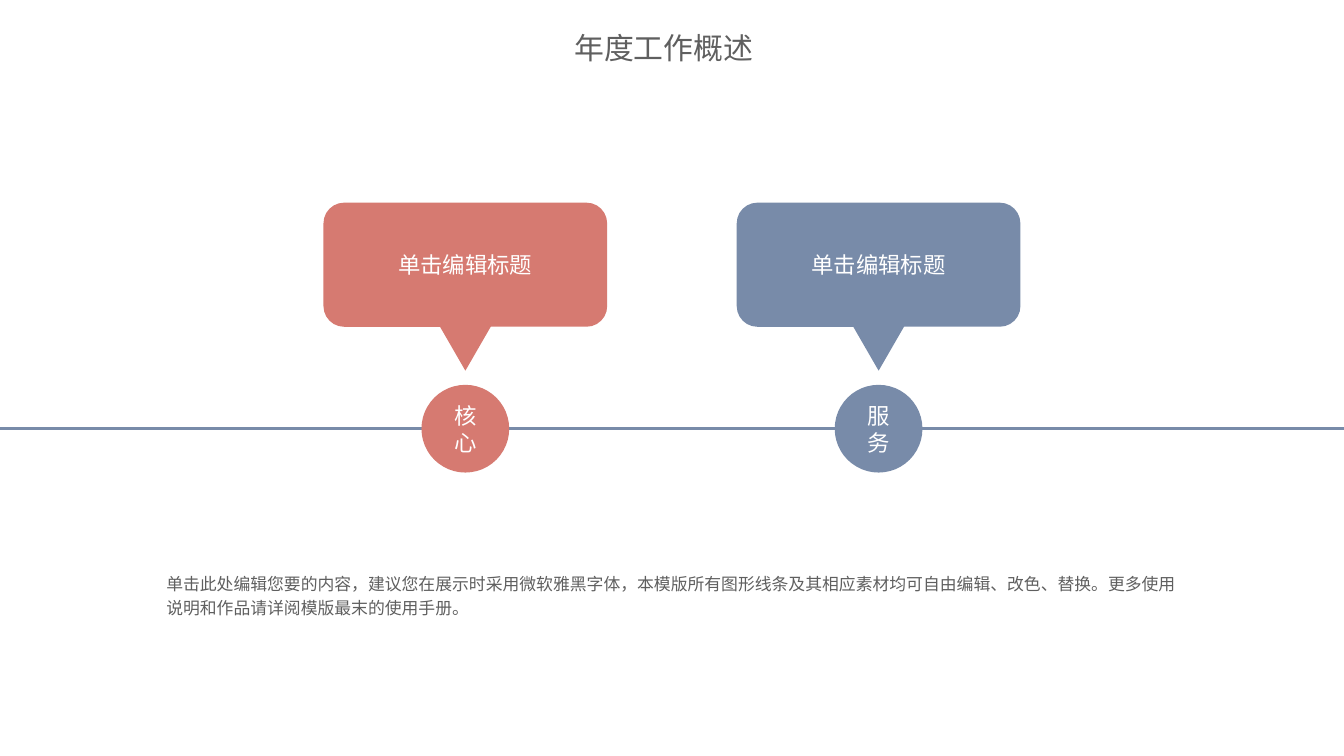
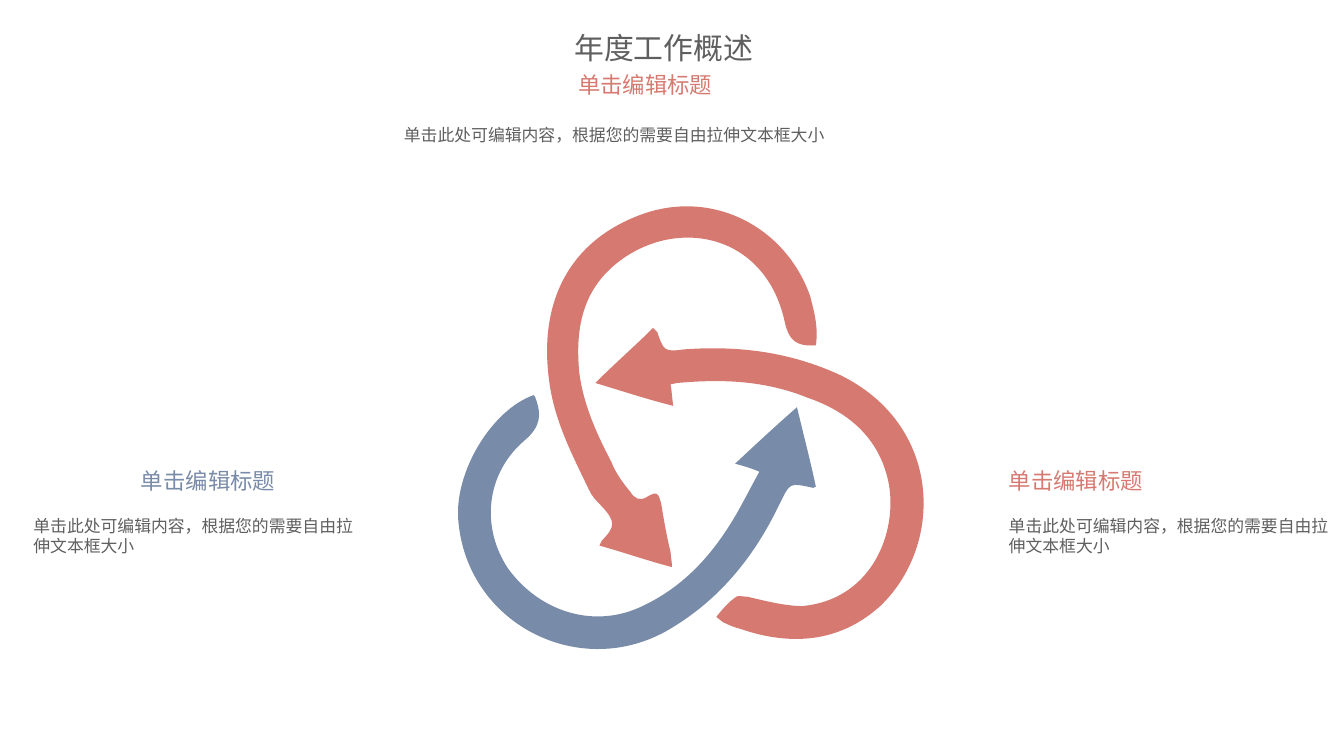
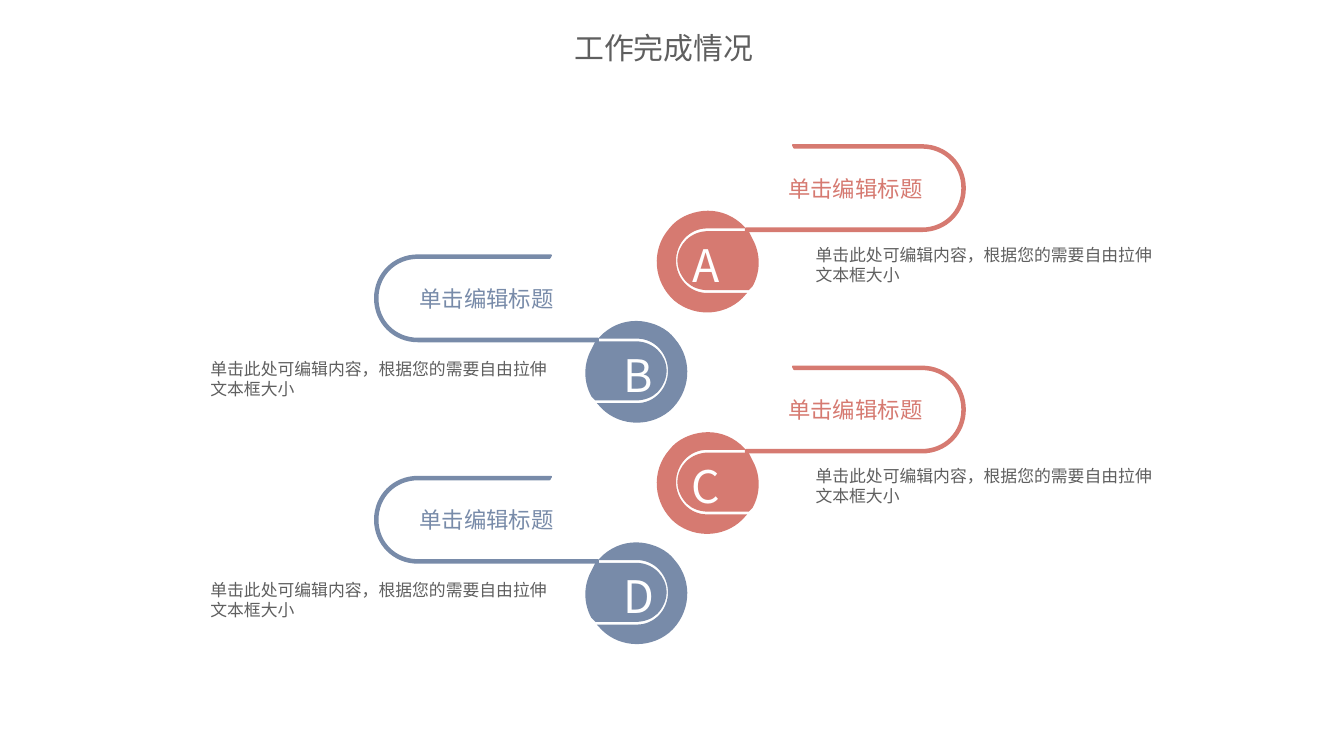
from lxml.etree import SubElement
from pptx import Presentation
from pptx.dml.color import RGBColor
from pptx.enum.shapes import MSO_CONNECTOR as Connector, MSO_SHAPE as Shape
from pptx.enum.text import MSO_ANCHOR as Anchor, PP_ALIGN as Align
from pptx.oxml.ns import qn
from pptx.util import Pt

RED = RGBColor(0xD6, 0x7A, 0x71)
BLUE = RGBColor(0x78, 0x8B, 0xA9)
GREY = RGBColor(0x5F, 0x5F, 0x5F)
WHITE = RGBColor(0xFF, 0xFF, 0xFF)
FONT = "Noto Sans CJK SC"
HEADING = "单击编辑标题"
BODY = "单击此处可编辑内容，根据您的需要自由拉伸文本框大小"
GRID = 0.72  # points per unit of an outline


def write(box, text, size=9, color=GREY, align=Align.LEFT, anchor=Anchor.TOP,
          wrap=True, spacing=None):
    frame = box.text_frame
    frame.word_wrap = wrap
    frame.vertical_anchor = anchor
    para = frame.paragraphs[0]
    para.alignment = align
    para.line_spacing = spacing
    span = para.add_run()
    span.text = text
    span.font.size = Pt(size)
    span.font.color.rgb = color
    span.font.name = FONT
    SubElement(span._r.get_or_add_rPr(), qn("a:ea")).set("typeface", FONT)


def draw_outline(page, contours, color, origin=(0, 0), side=1):
    """Fill closed contours; a step has 2 numbers for a line, 6 for a curve."""
    builder = None
    for contour in contours:
        places = [(Pt((origin[0] + side * x) * GRID), Pt((origin[1] + y) * GRID))
                  for step in contour for x, y in zip(step[::2], step[1::2])]
        if builder is None:
            builder = page.shapes.build_freeform(*places[0])
        else:
            builder.move_to(*places[0])
        builder.add_line_segments(places[1:], close=True)
    shape = builder.convert_to_shape()

    # Merge the three segments of each curve step into one Bézier segment
    segments = iter(list(shape._element.iter(qn("a:lnTo"))))
    for contour in contours:
        for step in contour[1:]:
            first = next(segments)
            if len(step) == 6:
                first.tag = qn("a:cubicBezTo")
                for _ in range(2):
                    extra = next(segments)
                    first.append(extra[0])
                    extra.getparent().remove(extra)

    shape.shadow.inherit = False
    shape.fill.solid()
    shape.fill.fore_color.rgb = color
    shape.line.fill.background()
    return shape


deck = Presentation()
deck.slide_width, deck.slide_height = Pt(720), Pt(405)

pages = []
for title in ("年度工作概述", "年度工作概述", "工作完成情况"):
    page = deck.slides.add_slide(deck.slide_layouts[6])
    write(page.shapes.add_textbox(Pt(300.7), Pt(12.3), Pt(116), Pt(26.6)), title, size=16)
    pages.append(page)
timeline_page, cycle_page, progress_page = pages

# Timeline with two callouts
write(timeline_page.shapes.add_textbox(Pt(82), Pt(301.7), Pt(556), Pt(21)),
      "单击此处编辑您要的内容，建议您在展示时采用微软雅黑字体，本模版所有图形线条及其相应素材均可自由编辑、"
      "改色、替换。更多使用说明和作品请详阅模版最末的使用手册。", spacing=1.2)
axis = timeline_page.shapes.add_connector(Connector.STRAIGHT, 0, Pt(229.7), Pt(720), Pt(229.7))
axis.line.color.rgb = BLUE
axis.line.width = Pt(1.5)
SubElement(axis._element.spPr, qn("a:effectLst"))

for label, color, center in (("核心", RED, 249.3), ("服务", BLUE, 470.7)):
    circle = timeline_page.shapes.add_shape(
        Shape.OVAL, Pt(center - 23.5), Pt(206.2), Pt(47), Pt(47))
    callout = timeline_page.shapes.add_group_shape()
    pointer = callout.shapes.add_shape(
        Shape.ISOSCELES_TRIANGLE, Pt(center - 15), Pt(172.6), Pt(30), Pt(26))
    pointer.rotation = 180
    bubble = callout.shapes.add_shape(
        Shape.ROUNDED_RECTANGLE, Pt(center - 76), Pt(108.6), Pt(152), Pt(66.5))
    for shape in (circle, pointer, bubble):
        shape.shadow.inherit = False
        shape.fill.solid()
        shape.fill.fore_color.rgb = color
        shape.line.fill.background()
    for shape, text in ((circle, label), (bubble, HEADING)):
        write(shape, text, size=12, color=WHITE, align=Align.CENTER, anchor=Anchor.MIDDLE)

# Cycle of three interlaced arrows; all segments are curves
left_arrow = [
    (397, 294), (398, 294, 398, 295, 398, 295), (403, 308, 403, 317, 390, 328),
    (361, 353, 358, 393, 378, 423), (402, 456, 443, 468, 478, 451),
    (512, 435, 534, 408, 551, 377), (556, 368, 560, 360, 565, 351),
    (558, 348, 554, 347, 547, 345), (562, 331, 577, 317, 593, 303),
    (598, 324, 603, 343, 607, 362), (605, 363, 605, 363, 605, 363),
    (587, 359, 588, 359, 580, 375), (561, 415, 534, 448, 495, 470),
    (429, 506, 347, 463, 341, 387), (338, 351, 366, 305, 397, 294)]
right_arrow = [
    (443, 285), (458, 270, 473, 257, 486, 244), (488, 245, 488, 246, 489, 247),
    (494, 261, 494, 262, 509, 260), (550, 257, 588, 262, 625, 279),
    (701, 316, 703, 405, 655, 451), (625, 478, 589, 481, 551, 468),
    (547, 467, 542, 465, 538, 463), (536, 462, 535, 460, 533, 459),
    (538, 453, 542, 448, 548, 444), (549, 443, 553, 444, 556, 444),
    (569, 447, 584, 451, 597, 451), (652, 446, 670, 390, 660, 354),
    (652, 324, 630, 306, 601, 296), (569, 283, 537, 282, 504, 285),
    (502, 286, 501, 286, 499, 286), (500, 291, 500, 296, 501, 302),
    (481, 297, 463, 291, 443, 285)]
top_arrow = [
    (500, 422), (481, 417, 464, 411, 446, 406), (447, 404, 448, 402, 448, 402),
    (458, 392, 458, 388, 448, 377), (444, 373, 440, 369, 438, 364),
    (426, 339, 413, 314, 409, 286), (400, 227, 422, 179, 479, 159),
    (531, 141, 585, 169, 603, 221), (606, 233, 609, 244, 607, 257),
    (592, 258, 587, 253, 584, 240), (570, 174, 504, 161, 460, 195),
    (433, 216, 428, 245, 431, 277), (434, 301, 444, 323, 455, 344),
    (458, 352, 464, 360, 469, 366), (472, 371, 476, 373, 481, 370),
    (489, 365, 490, 367, 492, 375), (494, 387, 496, 399, 499, 411),
    (499, 414, 500, 418, 500, 422)]
for arrow, color in ((left_arrow, BLUE), (right_arrow, RED), (top_arrow, RED)):
    draw_outline(cycle_page, [arrow], color)

for color, heading_left, heading_top, body_left, body_top, body_width, body_height in (
        (BLUE, 68.4, 246.7, 10.8, 272.9, 186.5, 28.8),
        (RED, 533.3, 246.7, 533.3, 272.9, 186.5, 28.8),
        (RED, 302.6, 34.6, 209.3, 63.4, 296.6, 18)):
    write(cycle_page.shapes.add_textbox(Pt(heading_left), Pt(heading_top), Pt(87.1), Pt(21.6)),
          HEADING, size=12, color=color, wrap=False)
    write(cycle_page.shapes.add_textbox(
        Pt(body_left), Pt(body_top), Pt(body_width), Pt(body_height)), BODY)

# Four lettered steps, alternating right and left; outlines start from the disc's centre
disc = [
    [(0, -23), (30, -23), (33, -17), (39, -6, 39, 7, 33, 18), (30, 21), (0, 21),
     (-6, 21, -12, 19, -16, 15), (-20, 11, -23, 5, -23, -1), (-23, -13, -13, -23, 0, -23)],
    [(-4, -38), (6, -39, 16, -36, 24, -29), (28, -25), (-1, -25),
     (-14, -25, -24, -14, -24, -1), (-24, -1), (-24, 12, -14, 23, -1, 23), (29, 23), (28, 24),
     (15, 40, -9, 42, -25, 29), (-41, 15, -43, -9, -29, -25), (-23, -33, -13, -37, -4, -38)]]

for index, letter in enumerate("ABCD"):
    row, is_left = divmod(index, 2)
    if is_left:
        color, side, center, bend, body_left, body_drop = BLUE, -1, 473, 162, 105.6, -11
    else:
        color, side, center, bend, body_left, body_drop = RED, 1, 527, 159, 429.8, -13
    middle = 195 + 164.75 * row + 82 * is_left
    band = [
        (63, -87), (bend, -87), (bend + 18, -87, bend + 32, -73, bend + 32, -55),
        (bend + 32, -37, bend + 18, -23, bend, -23), (28, -23), (28, -25), (bend, -25),
        (bend + 17, -25, bend + 30, -38, bend + 30, -55),
        (bend + 30, -72, bend + 17, -85, bend, -85), (64, -85)]
    badge = draw_outline(progress_page, disc, color, (center, middle), side)
    write(badge, letter, size=24, color=WHITE, align=Align.CENTER, anchor=Anchor.MIDDLE)
    ribbon = draw_outline(progress_page, [band], color, (center, middle), side)
    ribbon.line.color.rgb = color
    ribbon.line.width = Pt(1)
    write(ribbon, HEADING, size=12, color=color, align=Align.CENTER, anchor=Anchor.MIDDLE)
    write(progress_page.shapes.add_textbox(
        Pt(body_left), Pt(middle * GRID + body_drop), Pt(195.8), Pt(28.8)), BODY)

deck.save("out.pptx")
